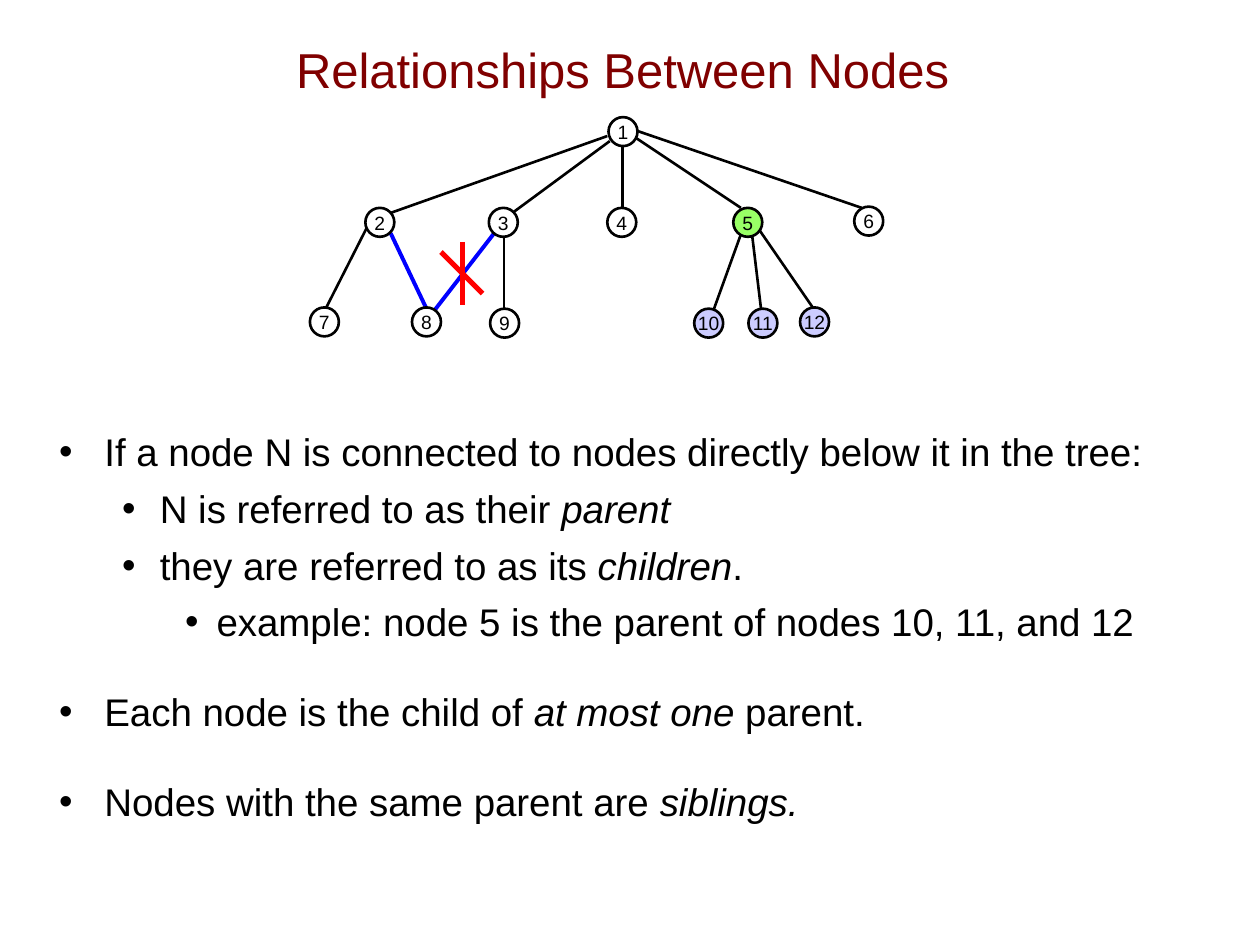
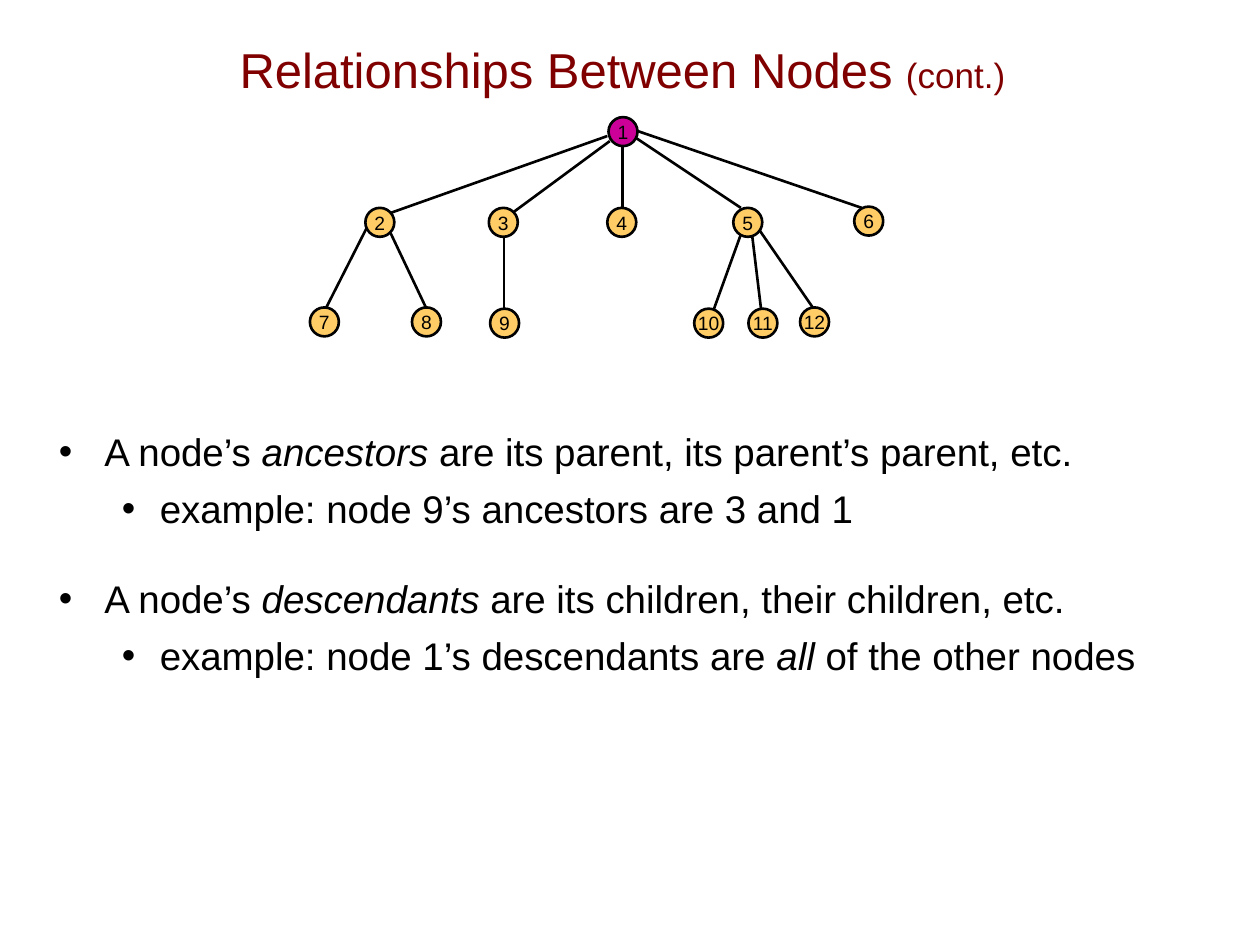
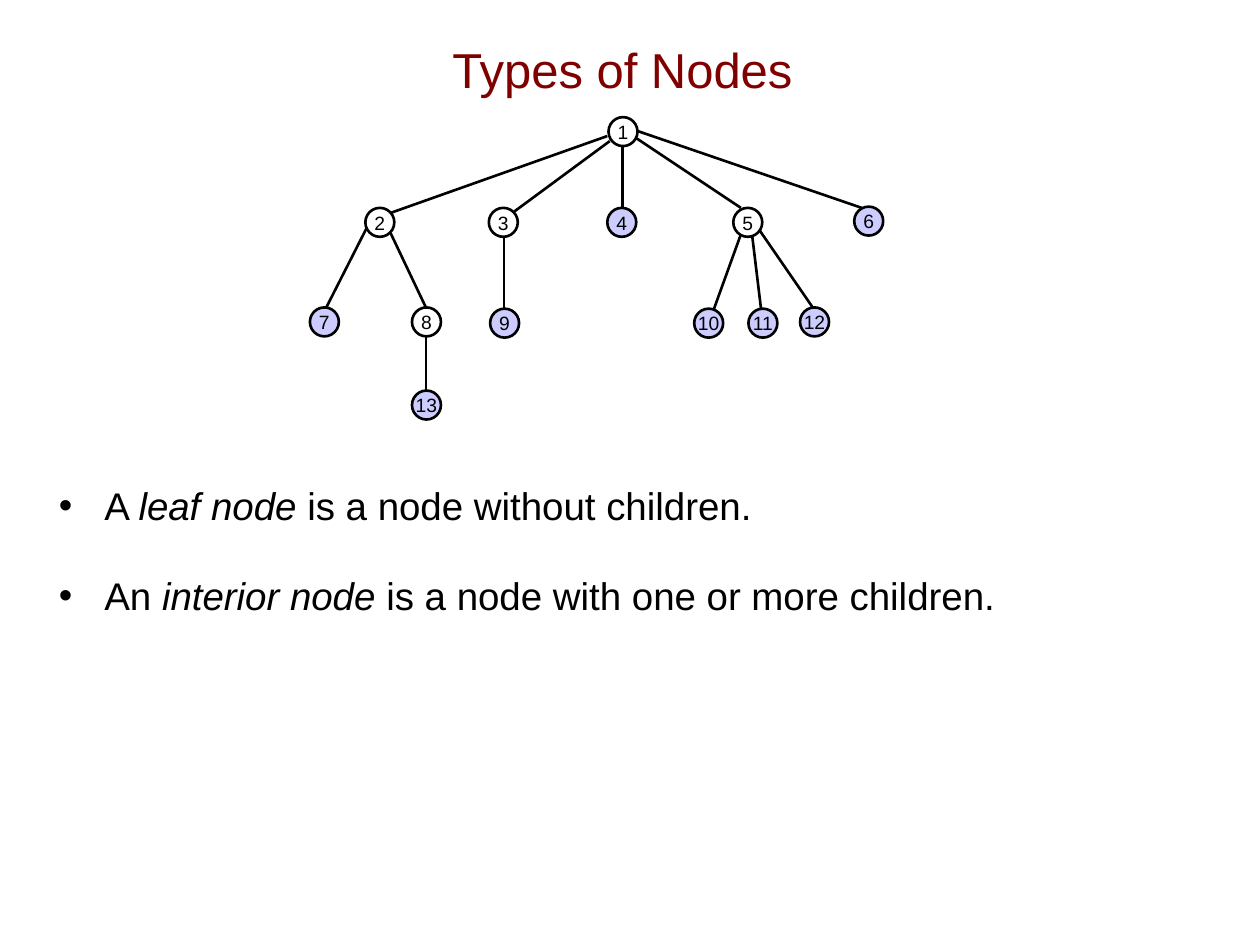
from dataclasses import dataclass, field
from typing import NamedTuple

from lxml import etree
from pptx import Presentation
from pptx.dml.color import RGBColor
from pptx.enum.shapes import MSO_CONNECTOR, MSO_SHAPE
from pptx.enum.text import MSO_ANCHOR, PP_ALIGN
from pptx.oxml.ns import qn
from pptx.util import Inches, Pt

STRAIGHT = MSO_CONNECTOR.STRAIGHT
OVAL = MSO_SHAPE.OVAL
MIDDLE = MSO_ANCHOR.MIDDLE
CENTER = PP_ALIGN.CENTER

FONT = "Arial"
BLACK, WHITE, MAROON = "000000", "FFFFFF", "800000"
BLUE, RED = "0000FF", "FF0000"
GREEN, LAVENDER, ORANGE, MAGENTA = "99FF66", "CCCCFF", "FFCC66", "CC0099"

NODE_SIZE = 0.23
BODY_LEFT, BODY_BOTTOM = 0.37, 7.06


class Point(NamedTuple):
    x: float
    y: float


class Stroke(NamedTuple):
    start: Point
    end: Point
    color: str = BLACK
    width: float = 1.5


class Level(NamedTuple):
    margin: float
    hanging: float
    space_before: float


class Bullet(NamedTuple):
    text: str  # asterisks enclose italics
    level: int = 0


LEVELS = [Level(0.36, 0.36, 25), Level(0.8, 0.3, 6), Level(1.25, 0.25, 6)]

# Top left corner of each node, by its number.
NODES = {
    1: Point(4.83, 0.93),
    2: Point(2.9, 1.65),
    3: Point(3.88, 1.65),
    4: Point(4.82, 1.65),
    5: Point(5.82, 1.65),
    6: Point(6.78, 1.64),
    7: Point(2.46, 2.44),
    8: Point(3.27, 2.44),
    9: Point(3.89, 2.45),
    10: Point(5.51, 2.45),
    11: Point(5.94, 2.45),
    12: Point(6.35, 2.44),
}
LEAF_BELOW_8 = {13: Point(3.27, 3.1)}

# Each edge is keyed by (parent, child).
EDGES = {
    (1, 2): Stroke(Point(4.82, 1.08), Point(3.1, 1.69)),
    (1, 3): Stroke(Point(4.84, 1.12), Point(4.08, 1.68)),
    (1, 4): Stroke(Point(4.94, 1.16), Point(4.94, 1.65)),
    (1, 5): Stroke(Point(5.04, 1.09), Point(5.88, 1.65)),
    (1, 6): Stroke(Point(5.06, 1.04), Point(6.84, 1.65)),
    (2, 7): Stroke(Point(2.91, 1.81), Point(2.59, 2.44)),
    (2, 8): Stroke(Point(3.1, 1.85), Point(3.38, 2.44)),
    (3, 9): Stroke(Point(4, 1.88), Point(4, 2.45)),
    (5, 10): Stroke(Point(5.88, 1.86), Point(5.66, 2.47)),
    (5, 11): Stroke(Point(5.97, 1.87), Point(6.04, 2.45)),
    (5, 12): Stroke(Point(6.03, 1.83), Point(6.45, 2.44)),
}
TWO_PARENTS = {
    (2, 8): EDGES[2, 8]._replace(color=BLUE, width=2.25),
    (3, 8): Stroke(Point(4, 1.75), Point(3.42, 2.5), BLUE, 2.25),
}
EDGE_BELOW_8 = {(8, 13): Stroke(Point(3.38, 2.66), Point(3.38, 3.24))}
CROSS_OUT = [
    Stroke(Point(3.5, 2), Point(3.83, 2.33), RED, 3),
    Stroke(Point(3.67, 1.92), Point(3.67, 2.42), RED, 3),
]


@dataclass
class TreeSlide:
    title: str
    bullets: list[Bullet]
    title_suffix: str = ""
    body_top: float = 3.35
    body_width: float = 9.34
    node_fill: str = WHITE
    special_fills: dict[int, str] = field(default_factory=dict)
    extra_nodes: dict[int, Point] = field(default_factory=dict)
    extra_edges: dict[tuple[int, int], Stroke] = field(default_factory=dict)
    marks: list[Stroke] = field(default_factory=list)


SLIDES = [
    TreeSlide(
        title="Relationships Between Nodes",
        bullets=[
            Bullet("If a node N is connected to nodes directly below it in the tree:"),
            Bullet("N is referred to as their *parent*", 1),
            Bullet("they are referred to as its *children*.", 1),
            Bullet("example: node 5 is the parent of nodes 10, 11, and 12", 2),
            Bullet("Each node is the child of *at most one* parent."),
            Bullet("Nodes with the same parent are *siblings.*"),
        ],
        body_width=9.05,
        special_fills={5: GREEN} | dict.fromkeys((10, 11, 12), LAVENDER),
        extra_edges=TWO_PARENTS,
        marks=CROSS_OUT,
    ),
    TreeSlide(
        title="Relationships Between Nodes ",
        title_suffix="(cont.)",
        bullets=[
            Bullet("A node’s *ancestors* are its parent, its parent’s parent, etc."),
            Bullet("example: node 9’s ancestors are 3 and 1", 1),
            Bullet("A node’s *descendants* are its children, their children, etc."),
            Bullet("example: node 1’s descendants are *all* of the other nodes", 1),
        ],
        node_fill=ORANGE,
        special_fills={1: MAGENTA},
    ),
    TreeSlide(
        title="Types of Nodes",
        bullets=[
            Bullet("A *leaf node* is a node without children."),
            Bullet("An *interior node* is a node with one or more children."),
        ],
        body_top=3.78,
        body_width=9.63,
        special_fills=dict.fromkeys((4, 6, 7, 9, 10, 11, 12, 13), LAVENDER),
        extra_nodes=LEAF_BELOW_8,
        extra_edges=EDGE_BELOW_8,
    ),
]


def rgb(color: str) -> RGBColor:
    return RGBColor.from_string(color)


def set_font(paragraph, size: float, color: str = BLACK) -> None:
    paragraph.font.name = FONT
    paragraph.font.size = Pt(size)
    paragraph.font.color.rgb = rgb(color)


def add_title(slide, content: TreeSlide) -> None:
    title = slide.shapes.add_textbox(Inches(0.64), Inches(0.08), Inches(8.6), Inches(0.93))
    frame = title.text_frame
    frame.word_wrap = True
    frame.vertical_anchor = MIDDLE
    heading = frame.paragraphs[0]
    heading.alignment = CENTER
    set_font(heading, 28, MAROON)
    heading.add_run().text = content.title
    if content.title_suffix:
        suffix = heading.add_run()
        suffix.text = content.title_suffix
        suffix.font.size = Pt(20)


def set_bullet(paragraph, level: Level) -> None:
    properties = paragraph._p.get_or_add_pPr()
    properties.set("marL", str(Inches(level.margin)))
    properties.set("indent", str(-Inches(level.hanging)))
    etree.SubElement(properties, qn("a:buFont")).set("typeface", FONT)
    etree.SubElement(properties, qn("a:buChar")).set("char", "•")


def add_body(slide, content: TreeSlide) -> None:
    body = slide.shapes.add_textbox(
        Inches(BODY_LEFT), Inches(content.body_top),
        Inches(content.body_width), Inches(BODY_BOTTOM - content.body_top),
    )
    frame = body.text_frame
    frame.word_wrap = True
    for index, bullet in enumerate(content.bullets):
        paragraph = frame.add_paragraph() if index else frame.paragraphs[0]
        level = LEVELS[bullet.level]
        paragraph.level = bullet.level
        set_bullet(paragraph, level)
        paragraph.space_before = Pt(level.space_before if index else 0)
        set_font(paragraph, 22)
        for part, words in enumerate(bullet.text.split("*")):
            if words:
                run = paragraph.add_run()
                run.text = words
                if part % 2:
                    run.font.italic = True


def add_stroke(slide, stroke: Stroke) -> None:
    ends = [Inches(length) for length in (*stroke.start, *stroke.end)]
    connector = slide.shapes.add_connector(STRAIGHT, *ends)
    connector.line.color.rgb = rgb(stroke.color)
    connector.line.width = Pt(stroke.width)
    etree.SubElement(connector._element.spPr, qn("a:effectLst"))


def add_node(slide, number: int, corner: Point, fill: str) -> None:
    node = slide.shapes.add_shape(
        OVAL, Inches(corner.x), Inches(corner.y), Inches(NODE_SIZE), Inches(NODE_SIZE)
    )
    node.shadow.inherit = False
    node.fill.solid()
    node.fill.fore_color.rgb = rgb(fill)
    node.line.color.rgb = rgb(BLACK)
    node.line.width = Pt(1.5)
    frame = node.text_frame
    frame.word_wrap = False
    frame.vertical_anchor = MIDDLE
    frame.margin_left = frame.margin_right = frame.margin_top = frame.margin_bottom = 0
    label = frame.paragraphs[0]
    label.text = str(number)
    label.alignment = CENTER
    set_font(label, 11)


def add_tree(slide, content: TreeSlide) -> None:
    for edge in (EDGES | content.extra_edges).values():
        add_stroke(slide, edge)
    for number, corner in (NODES | content.extra_nodes).items():
        add_node(slide, number, corner, content.special_fills.get(number, content.node_fill))
    for mark in content.marks:
        add_stroke(slide, mark)


def main() -> None:
    deck = Presentation()
    deck.slide_width, deck.slide_height = Inches(10), Inches(7.5)
    blank = deck.slide_layouts[6]
    for content in SLIDES:
        slide = deck.slides.add_slide(blank)
        add_body(slide, content)
        add_title(slide, content)
        add_tree(slide, content)
    deck.save("out.pptx")


if __name__ == "__main__":
    main()
